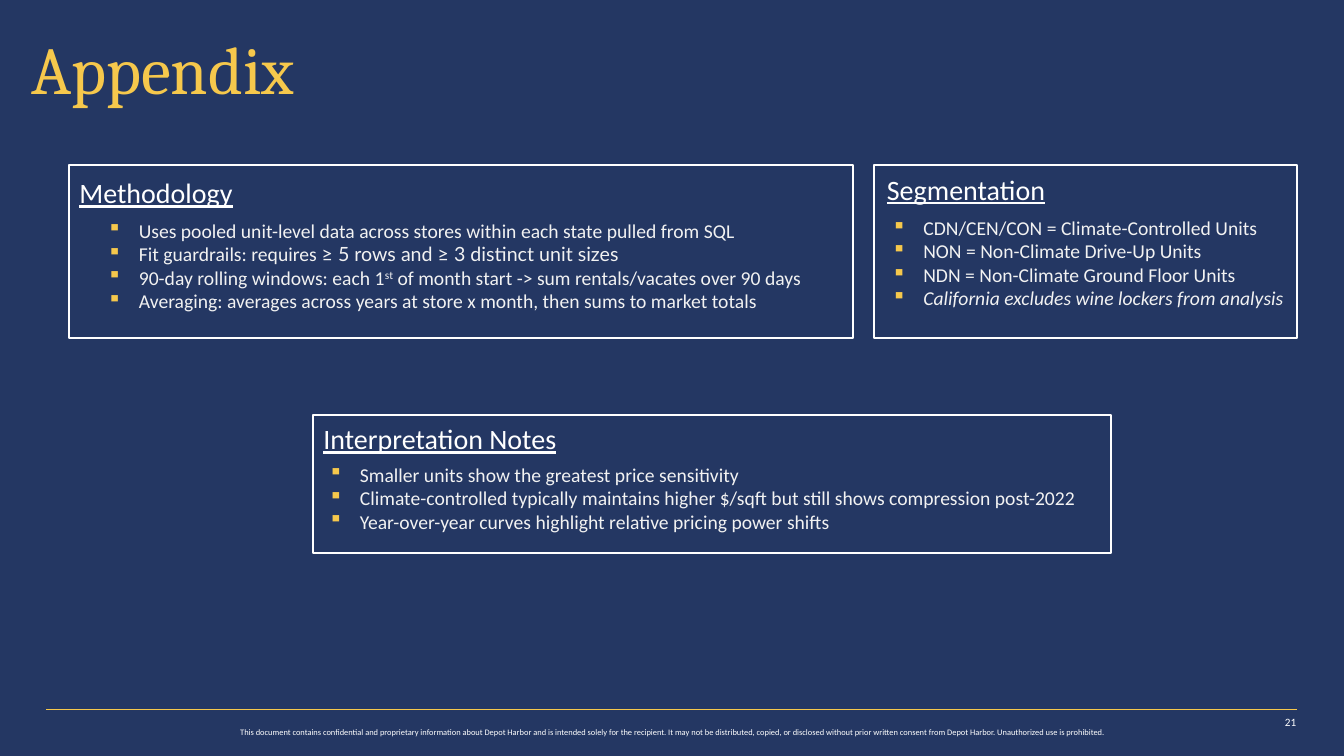
"""Build the appendix slide with methodology, segmentation and interpretation panels."""
from dataclasses import dataclass

from lxml import etree
from pptx import Presentation
from pptx.dml.color import RGBColor
from pptx.enum.shapes import MSO_CONNECTOR, MSO_SHAPE
from pptx.enum.text import MSO_ANCHOR, MSO_AUTO_SIZE, PP_ALIGN
from pptx.oxml.ns import qn
from pptx.util import Cm, Pt

RECTANGLE = MSO_SHAPE.RECTANGLE
STRAIGHT = MSO_CONNECTOR.STRAIGHT
TOP, MIDDLE = MSO_ANCHOR.TOP, MSO_ANCHOR.MIDDLE
LEFT, CENTER, RIGHT = PP_ALIGN.LEFT, PP_ALIGN.CENTER, PP_ALIGN.RIGHT
NO_AUTOFIT = MSO_AUTO_SIZE.NONE
TITLE_ONLY = 5


@dataclass(frozen=True)
class Theme:
    navy: RGBColor = RGBColor(0x24, 0x37, 0x63)
    gold: RGBColor = RGBColor(0xF6, 0xC8, 0x4C)
    white: RGBColor = RGBColor(0xFF, 0xFF, 0xFF)
    body: RGBColor = RGBColor(0xF2, 0xF2, 0xF2)
    title_font: str = "Cambria"
    text_font: str = "Calibri"
    symbol_font: str = "Lato"
    title_size: float = 48
    heading_size: float = 20
    body_size: float = 14
    number_size: float = 8
    footer_size: float = 6


@dataclass(frozen=True)
class Panel:
    heading: str
    frame: tuple
    heading_box: tuple
    list_box: tuple
    items: list


PANELS = [
    Panel(
        "Methodology", (1.75, 4.17, 19.74, 4.34), (1.75, 4.31, 5.46, 1.12),
        (2.46, 5.38, 24.43, 2.64),
        [
            [("Uses pooled unit-level data across stores within each state pulled from SQL", "")],
            [("Fit guardrails: requires ", ""), ("≥ 5 rows and ≥ 3 distinct unit sizes", "symbol")],
            [("90-day rolling windows: each 1", ""), ("st", "superscript"),
             (" of month start -> sum rentals/vacates over 90 days", "")],
            [("Averaging: averages across years at store x month, then sums to market totals", "")],
        ],
    ),
    Panel(
        "Segmentation", (22.02, 4.17, 10.67, 4.34), (22.1, 4.21, 5.46, 1.12),
        (22.23, 5.31, 11.2, 2.64),
        [
            [("CDN/CEN/CON = Climate-Controlled Units", "")],
            [("NON = Non-Climate Drive-Up Units", "")],
            [("NDN = Non-Climate Ground Floor Units", "")],
            [("California excludes wine lockers from analysis", "italic")],
        ],
    ),
    Panel(
        "Interpretation Notes", (7.9, 10.46, 20.09, 3.48), (7.9, 10.5, 8.59, 1.12),
        (8.03, 11.53, 24.43, 2.06),
        [
            [("Smaller units show the greatest price sensitivity", "")],
            [("Climate-controlled typically maintains higher $/sqft but still shows "
              "compression post-2022", "")],
            [("Year-over-year curves highlight relative pricing power shifts", "")],
        ],
    ),
]
DISCLAIMER = (
    "This document contains confidential and proprietary information about Depot Harbor and is "
    "intended solely for the recipient. It may not be distributed, copied, or disclosed without "
    "prior written consent from Depot Harbor. Unauthorized use is prohibited."
)


class SlideBuilder:
    def __init__(self, slide, theme):
        self.slide = slide
        self.theme = theme

    def format_run(self, run, size, color, font=None):
        run.font.size = Pt(size)
        run.font.color.rgb = color
        run.font.name = font or self.theme.text_font

    def title(self, text, box):
        shape = self.slide.shapes.title
        shape.left, shape.top, shape.width, shape.height = map(Cm, box)
        frame = shape.text_frame
        frame.text = text
        frame.auto_size = NO_AUTOFIT
        frame.vertical_anchor = MIDDLE
        paragraph = frame.paragraphs[0]
        paragraph.alignment = LEFT
        paragraph.line_spacing = 0.9
        self.format_run(paragraph.runs[0], self.theme.title_size, self.theme.gold,
                        self.theme.title_font)

    def rectangle(self, box):
        shape = self.slide.shapes.add_shape(RECTANGLE, *map(Cm, box))
        shape.shadow.inherit = False
        return shape

    def backdrop(self, box):
        shape = self.rectangle(box)
        shape.fill.solid()
        shape.fill.fore_color.rgb = self.theme.navy
        shape.line.fill.background()
        self.slide.shapes.title.element.addprevious(shape.element)

    def outline(self, box):
        shape = self.rectangle(box)
        shape.fill.background()
        shape.line.color.rgb = self.theme.white
        shape.line.width = Pt(1.5)

    def rule(self, start, end):
        line = self.slide.shapes.add_connector(STRAIGHT, *map(Cm, start + end))
        line.line.color.rgb = self.theme.gold
        line.line.width = Pt(0.75)
        etree.SubElement(line.element.spPr, qn("a:effectLst"))

    def text_frame(self, box, anchor=TOP):
        frame = self.slide.shapes.add_textbox(*map(Cm, box)).text_frame
        frame.word_wrap = True
        frame.vertical_anchor = anchor
        return frame

    def label(self, text, box, size, alignment=LEFT, anchor=TOP, underline=False):
        frame = self.text_frame(box, anchor)
        frame.text = text
        paragraph = frame.paragraphs[0]
        paragraph.alignment = alignment
        self.format_run(paragraph.runs[0], size, self.theme.white)
        if underline:
            paragraph.runs[0].font.underline = True

    def bullet(self, paragraph):
        properties = paragraph._p.get_or_add_pPr()
        properties.set("marL", str(Cm(0.79)))
        properties.set("indent", str(-Cm(0.79)))
        color = etree.SubElement(properties, qn("a:buClr"))
        etree.SubElement(color, qn("a:srgbClr"), val=str(self.theme.gold))
        etree.SubElement(properties, qn("a:buChar"), char="▪")

    def bullet_list(self, items, box):
        frame = self.text_frame(box)
        for index, parts in enumerate(items):
            paragraph = frame.add_paragraph() if index else frame.paragraphs[0]
            self.bullet(paragraph)
            for text, style in parts:
                run = paragraph.add_run()
                run.text = text
                font = self.theme.symbol_font if style == "symbol" else self.theme.text_font
                self.format_run(run, self.theme.body_size, self.theme.body, font)
                if style == "italic":
                    run.font.italic = True
                if style == "superscript":
                    run._r.get_or_add_rPr().set("baseline", "30000")

    def panel(self, panel):
        self.outline(panel.frame)
        self.label(panel.heading, panel.heading_box, self.theme.heading_size, underline=True)
        self.bullet_list(panel.items, panel.list_box)


def main():
    presentation = Presentation()
    presentation.slide_width, presentation.slide_height = Cm(33.87), Cm(19.05)
    slide = presentation.slides.add_slide(presentation.slide_layouts[TITLE_ONLY])
    theme = Theme()
    builder = SlideBuilder(slide, theme)
    builder.backdrop((0, 0, 33.87, 19.05))
    builder.title("Appendix", (0.53, 0, 21.89, 3.68))
    for panel in PANELS:
        builder.panel(panel)
    builder.rule((32.69, 17.88), (1.17, 17.88))
    builder.label(DISCLAIMER, (4.24, 18.21, 25.4, 0.51), theme.footer_size, CENTER)
    builder.label("21", (32.03, 17.68, 0.89, 1.02), theme.number_size, RIGHT, MIDDLE)
    presentation.save("out.pptx")


if __name__ == "__main__":
    main()
